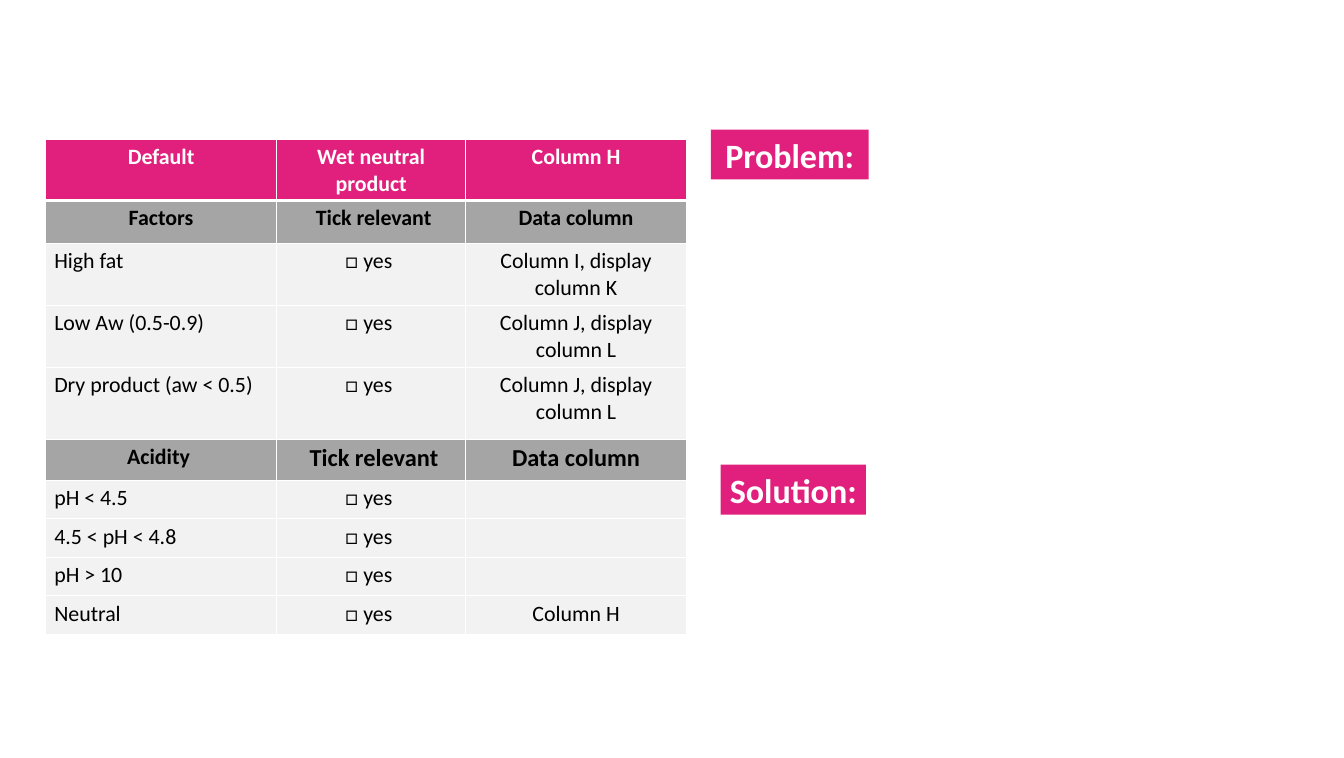
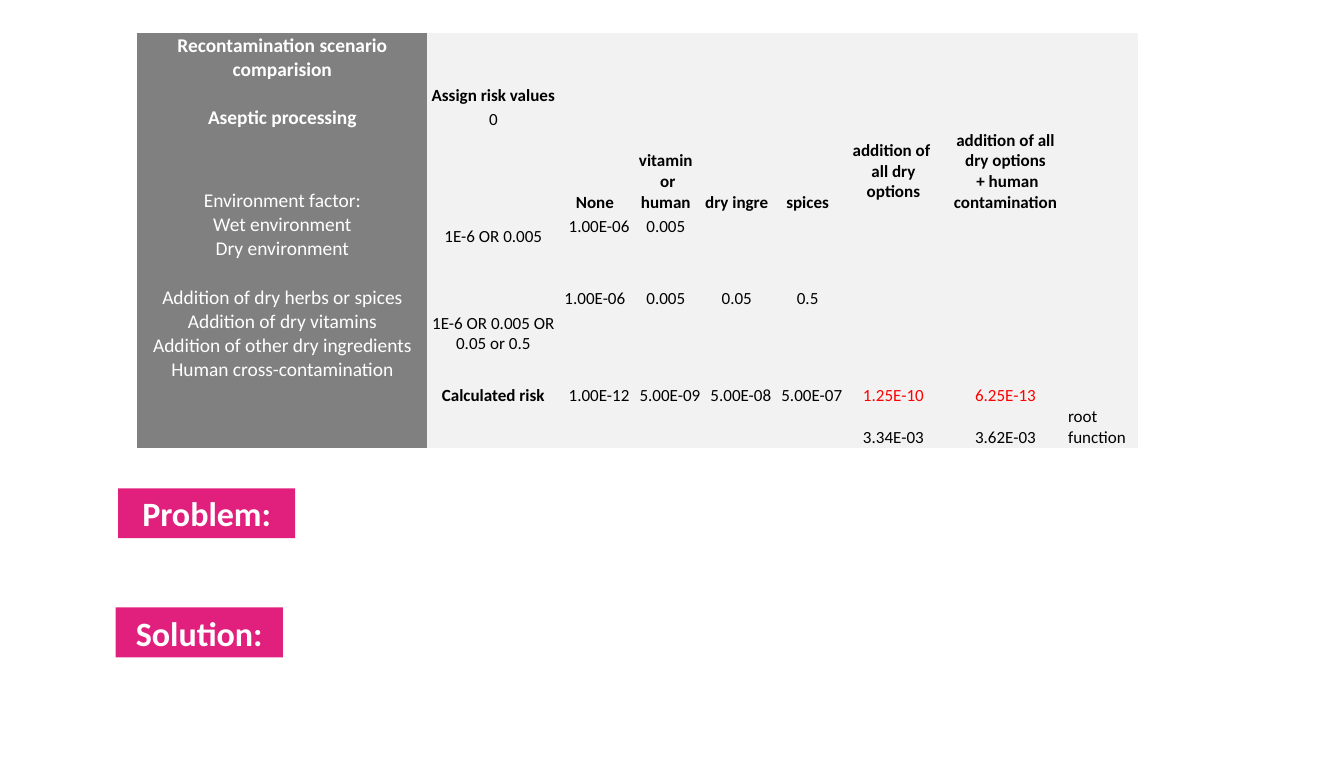
from lxml import etree
from pptx import Presentation
from pptx import util as u
from pptx.dml.color import RGBColor
from pptx.enum import shapes, text
from pptx.oxml.ns import qn

PINK, WHITE, BLACK, RED = "E1207D", "FFFFFF", "000000", "FF0000"
GREY, DARK, PALE = "A5A5A5", "808080", "F2F2F2"
FONT = "Calibri"
PLAIN = "{2D5ABB26-0587-4C30-8999-92F81FD0307C}"  # table style without grid
MID, LEFT, RIGHT = text.PP_ALIGN.CENTER, text.PP_ALIGN.LEFT, text.PP_ALIGN.RIGHT
TOP, HALF, LOW = text.MSO_ANCHOR.TOP, text.MSO_ANCHOR.MIDDLE, text.MSO_ANCHOR.BOTTOM

deck = Presentation()
deck.slide_width, deck.slide_height = u.Inches(15.35), u.Inches(8.66)
first, second = [deck.slides.add_slide(deck.slide_layouts[6]) for _ in range(2)]


def write(par, words, size, hue, bold, align):
    """Fill a paragraph; an empty one only keeps its size."""
    par.alignment = align
    if not words:
        etree.SubElement(par._p, qn("a:endParaRPr"), sz=str(size * 100))
        return
    for i, line in enumerate(words.split("\n")):
        if i:
            par.add_line_break()
        run = par.add_run()
        run.text = line
        font = run.font
        font.name, font.size, font.bold = FONT, u.Pt(size), bold
        font.color.rgb = RGBColor.from_string(hue)


def grid(slide, left, top, cols, rows):
    """Add a table with the given column widths and row heights."""
    box = [u.Inches(n) for n in (left, top, sum(cols), sum(rows))]
    table = slide.shapes.add_table(len(rows), len(cols), *box).table
    table.first_row = table.horz_banding = False
    table._tbl.tblPr.find(qn("a:tableStyleId")).text = PLAIN
    for col, wide in zip(table.columns, cols):
        col.width = u.Inches(wide)
    for row, high in zip(table.rows, rows):
        row.height = u.Inches(high)
    return table


# Pink tags on both slides
for slide, words, left, top, wide in [
    (first, "Problem:", 8.12, 1.48, 1.8),
    (first, "Solution:", 8.23, 5.31, 1.66),
    (second, "Problem:", 1.35, 5.58, 2.02),
    (second, "Solution:", 1.32, 6.94, 1.91),
]:
    box = [u.Inches(n) for n in (left, top, wide, 0.57)]
    tag = slide.shapes.add_shape(shapes.MSO_SHAPE.RECTANGLE, *box)
    tag.shadow.inherit = False
    tag.fill.solid()
    tag.fill.fore_color.rgb = RGBColor.from_string(PINK)
    tag.line.fill.background()
    frame = tag.text_frame
    frame.word_wrap = False
    frame.auto_size = text.MSO_AUTO_SIZE.SHAPE_TO_FIT_TEXT
    frame.vertical_anchor = HALF
    write(frame.paragraphs[0], words, 28, WHITE, True, MID)

# Slide 1: product factors
YES = "□ yes "
facts = [
    ("Default", "Wet neutral product", "Column H"),
    ("Factors", " Tick relevant", "Data column"),
    ("High fat", YES, "Column I, display column K"),
    ("Low Aw (0.5-0.9)", YES, "Column J, display column L"),
    ("Dry product (aw < 0.5)", YES, "Column J, display column L"),
    ("Acidity ", " Tick relevant", "Data column"),
    ("pH < 4.5", YES, ""),
    ("4.5 < pH < 4.8", YES, ""),
    ("pH > 10", YES, ""),
    ("Neutral", YES, "Column H"),
]
heads = {0: (PINK, WHITE), 1: (GREY, BLACK), 5: (GREY, BLACK)}
highs = [0.7, 0.49, 0.71, 0.71, 0.82, 0.47] + [0.44] * 4
table = grid(first, 0.52, 1.59, [2.64, 2.16, 2.52], highs)
for r, line in enumerate(facts):
    back, hue = heads.get(r, (PALE, BLACK))
    for c, words in enumerate(line):
        cell = table.cell(r, c)
        # White rules, thicker where they meet under the top row
        for side in "LRTB":
            thick = (r, side) in ((0, "B"), (1, "T"))
            rule = etree.SubElement(cell._tc.get_or_add_tcPr(), qn("a:ln" + side),
                                    w=str(u.Pt(3 if thick else 1)))
            fill = etree.SubElement(rule, qn("a:solidFill"))
            etree.SubElement(fill, qn("a:srgbClr"), val=WHITE)
        cell.fill.solid()
        cell.fill.fore_color.rgb = RGBColor.from_string(back)
        write(cell.text_frame.paragraphs[0], words, 20 if r == 5 and c else 18,
              hue, r in heads, LEFT if c == 0 and r not in heads else MID)

# Slide 2: recontamination scenarios, text by row from the left
risks = [
    ["Recontamination scenario comparision"],
    ["", "Assign risk values"],
    ["Aseptic processing", "0"],
    ["Environment factor:", "", "None", "vitamin\n or human", "dry ingre", "spices",
     "addition of \nall dry options",
     "addition of all dry options\n + human contamination"],
    ["Wet environment", "1E-6 OR 0.005", "1.00E-06", "0.005"],
    ["Dry environment"],
    [],
    ["Addition of dry herbs or spices", "1E-6 OR 0.005 OR\n0.05 or 0.5",
     "1.00E-06", "0.005", "0.05", "0.5"],
    ["Addition of dry vitamins"],
    ["Addition of other dry ingredients"],
    ["Human cross-contamination"],
    ["", "Calculated risk", "1.00E-12", "5.00E-09", "5.00E-08", "5.00E-07",
     "1.25E-10", "6.25E-13"],
    ["", "", "", "", "", "", "3.34E-03", "3.62E-03", "root function"],
]
strong = {(0, 0), (1, 1), (2, 0), (11, 1)} | {(3, c) for c in range(2, 8)}
middle = {(3, 6), (3, 7), (4, 1), (7, 1)}
sides = {(11, c): RIGHT for c in range(2, 6)} | {(4, 2): RIGHT, (12, 8): LEFT}
reds = {(11, 6), (11, 7)}

# Single-line rows share what the three tall rows leave
tall = {0: 0.55, 3: 0.95, 12: 0.48}
rest = (4.74 - sum(tall.values())) / (len(risks) - len(tall))
wides = [3.31, 1.51] + [0.81] * 4 + [1.15, 1.41, 0.81]
table = grid(second, 1.57, 0.38, wides, [tall.get(r, rest) for r in range(len(risks))])
for r, line in enumerate(risks):
    for c in range(len(wides)):
        at, cell = (r, c), table.cell(r, c)
        cell.margin_left = cell.margin_right = u.Inches(0.01)
        cell.margin_top = cell.margin_bottom = 0
        cell.vertical_anchor = HALF if at in middle else LOW
        cell.fill.solid()
        cell.fill.fore_color.rgb = RGBColor.from_string(PALE if c else DARK)
        hue = RED if at in reds else BLACK if c else WHITE
        write(cell.text_frame.paragraphs[0], line[c] if c < len(line) else "",
              14 if c else 16, hue, at in strong, sides.get(at, MID))
for start, end in ((4, 5), (7, 10)):
    table.cell(start, 1).merge(table.cell(end, 1))

deck.save("out.pptx")
